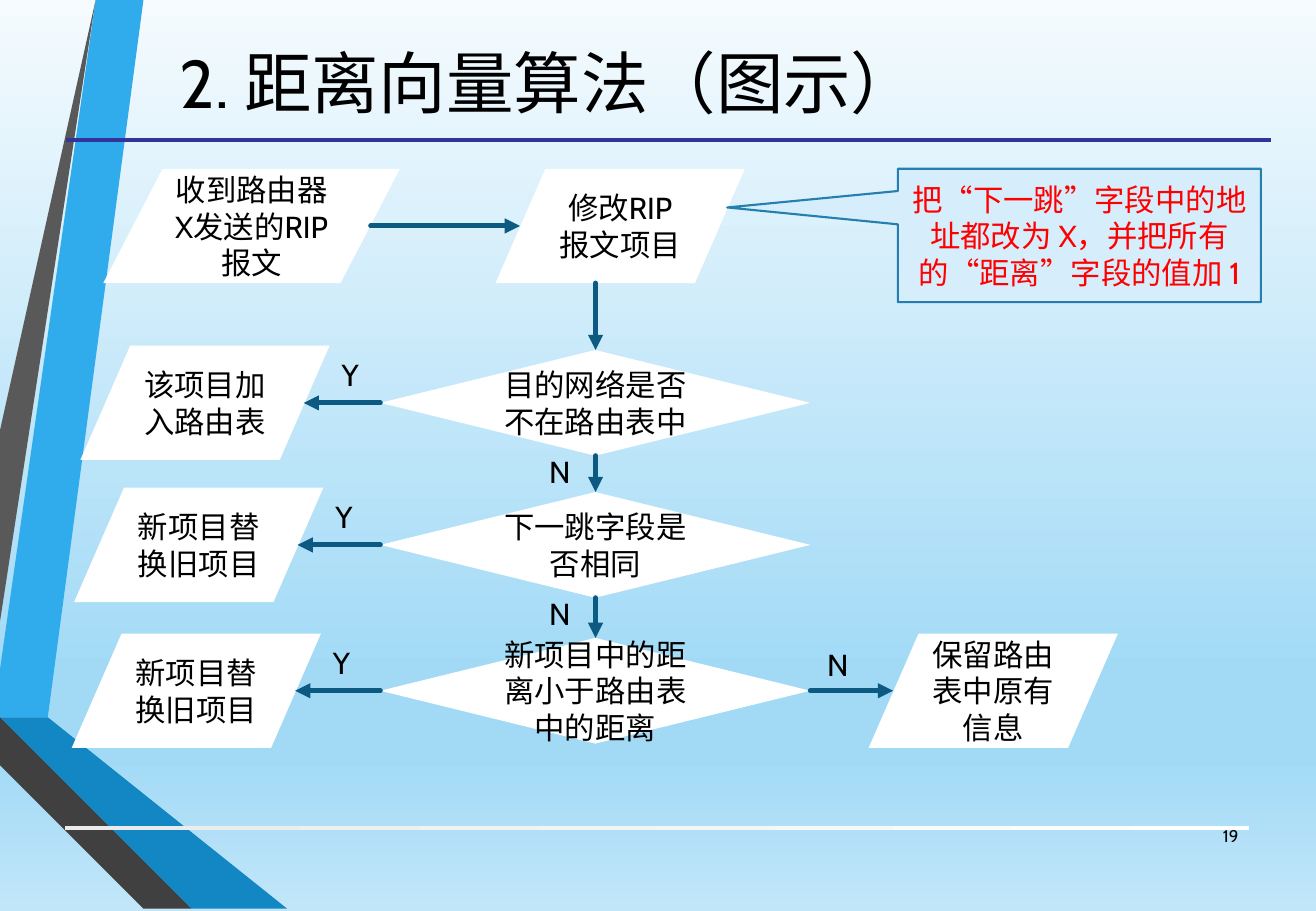
from lxml.etree import SubElement
from pptx import Presentation
from pptx.dml.color import RGBColor
from pptx.enum.lang import MSO_LANGUAGE_ID as Language
from pptx.enum.shapes import MSO_CONNECTOR as Connector, MSO_SHAPE as Shape
from pptx.enum.text import MSO_ANCHOR as Anchor, PP_ALIGN as Align
from pptx.oxml.ns import qn
from pptx.util import Cm, Pt

BLACK = RGBColor(0x00, 0x00, 0x00)
WHITE = RGBColor(0xFF, 0xFF, 0xFF)
RED = RGBColor(0xFF, 0x00, 0x00)
INDIGO = RGBColor(0x33, 0x33, 0x99)
ARROW_BLUE = RGBColor(0x0C, 0x5A, 0x82)
CALLOUT_FILL = RGBColor(0xD6, 0xEE, 0xFB)
CALLOUT_LINE = RGBColor(0x24, 0x7F, 0xAF)
SKY = RGBColor(0x30, 0xAC, 0xEC)
OCEAN = RGBColor(0x12, 0x87, 0xC3)
GRAY = RGBColor(0x59, 0x59, 0x59)
CHARCOAL = RGBColor(0x40, 0x40, 0x40)
SOOT = RGBColor(0x26, 0x26, 0x26)
PALE_GRAY = RGBColor(0xEB, 0xEB, 0xEB)
ICE = RGBColor(0xF5, 0xFB, 0xFE)
LIGHT_BLUE = RGBColor(0xA2, 0xDA, 0xF6)
PALE_BLUE = RGBColor(0xC1, 0xE6, 0xF9)

# Ribbons at the left edge: colour and corner points in centimetres
RIBBONS = [
    (SKY, [(0, 13.82), (0, 14.61), (0.61, 14.71), (3.23, 0), (2.46, 0)]),
    (GRAY, [(2.29, 0), (1.52, 0), (0, 8.53), (0, 12.85)]),
    (SOOT, [(0, 15.72), (0, 15.77), (2.57, 19.05), (2.72, 19.05)]),
    (ARROW_BLUE, [(0, 14.71), (0, 14.73), (4.29, 19.05), (4.47, 19.05)]),
    (OCEAN, [(0, 14.71), (4.47, 19.05), (6.43, 19.05), (0.61, 14.71), (0, 14.61)]),
    (CHARCOAL, [(0, 15.72), (2.72, 19.05), (4.14, 19.05), (0, 14.88)]),
]

# Decision rows: top, question, left of the action, action
DECISIONS = [
    (7.32, "目的网络是否不在路由表中", 1.68, "该项目加入路由表"),
    (10.29, "下一跳字段是否相同", 1.55, "新项目替换旧项目"),
    (13.34, "新项目中的距离小于路由表中的距离", 1.5, "新项目替换旧项目"),
]
DECISION_LEFT, DECISION_WIDTH, DECISION_HEIGHT = 7.95, 8.99, 2.21
BOX_WIDTH, BOX_HEIGHT = 5.21, 2.39
FLOW_TOP, FLOW_X = 3.53, 12.45


def set_gradient(fill, element, stops, angle):
    fill.gradient()
    fill.gradient_angle = angle
    stop_list = element.find(".//" + qn("a:gsLst"))
    for stop in list(stop_list):
        stop_list.remove(stop)
    for percent, color in stops:
        stop = SubElement(stop_list, qn("a:gs"), pos=str(percent * 1000))
        SubElement(stop, qn("a:srgbClr"), val=str(color))


def write_text(shape, text, size=18, color=BLACK, align=Align.CENTER, anchor=Anchor.MIDDLE):
    frame = shape.text_frame
    frame.word_wrap = True
    frame.vertical_anchor = anchor
    paragraph = frame.paragraphs[0]
    paragraph.alignment = align
    run = paragraph.add_run()
    run.text = text
    formats = {"name": "Cabin", "size": Pt(size), "language_id": Language.SIMPLIFIED_CHINESE}
    for name, value in formats.items():
        setattr(run.font, name, value)
    run.font.color.rgb = color


def add_text(slide, text, left, top, width=1.73, height=1.02, **formats):
    box = slide.shapes.add_textbox(Cm(left), Cm(top), Cm(width), Cm(height))
    write_text(box, text, **formats)


def add_label(slide, text, left, top):
    add_text(slide, text, left, top, align=Align.LEFT, anchor=Anchor.TOP)


def add_box(slide, kind, left, top, width, height, text="", fill=WHITE, color=BLACK):
    shape = slide.shapes.add_shape(kind, Cm(left), Cm(top), Cm(width), Cm(height))
    shape.shadow.inherit = False
    shape.fill.solid()
    shape.fill.fore_color.rgb = fill
    shape.line.fill.background()
    if text:
        write_text(shape, text, color=color)
    return shape


def add_data_box(slide, text, left, top, width=BOX_WIDTH):
    add_box(slide, Shape.FLOWCHART_DATA, left, top, width, BOX_HEIGHT, text)


def add_line(slide, x1, y1, x2, y2, color, width):
    line = slide.shapes.add_connector(Connector.STRAIGHT, Cm(x1), Cm(y1), Cm(x2), Cm(y2))
    line.line.color.rgb = color
    line.line.width = Pt(width)
    SubElement(line._element.spPr, qn("a:effectLst"))
    return line


def add_arrow(slide, x1, y1, x2, y2):
    arrow = add_line(slide, x1, y1, x2, y2, ARROW_BLUE, 3)
    outline = arrow.line._get_or_add_ln()
    outline.set("cap", "rnd")
    SubElement(outline, qn("a:tailEnd"), type="triangle")


def add_ribbon(slide, color, points):
    builder = slide.shapes.build_freeform(*points[0], scale=Cm(1))
    builder.add_line_segments(points[1:], close=True)
    ribbon = builder.convert_to_shape()
    ribbon.shadow.inherit = False
    ribbon.fill.solid()
    ribbon.fill.fore_color.rgb = color
    ribbon.line.fill.background()


def add_backdrop(slide):
    stops = [(0, ICE), (74, LIGHT_BLUE), (83, LIGHT_BLUE), (100, PALE_BLUE)]
    set_gradient(slide.background.fill, slide._element, stops, 270)
    for color, points in RIBBONS:
        add_ribbon(slide, color, points)
    footer_bar = add_box(slide, Shape.RECTANGLE, 1.35, 17.27, 24.76, 0.08)
    set_gradient(footer_bar.fill, footer_bar._element, [(0, PALE_GRAY), (100, WHITE)], 0)
    add_line(slide, 1.37, 2.92, 26.57, 2.92, INDIGO, 2.25)


def add_first_steps(slide):
    add_data_box(slide, "收到路由器X发送的RIP报文", 2.16, FLOW_TOP, 6.2)
    add_data_box(slide, "修改RIP报文项目", 10.36, FLOW_TOP)
    middle = FLOW_TOP + BOX_HEIGHT / 2
    add_arrow(slide, 7.75, middle, 10.87, middle)
    callout = add_box(slide, Shape.RECTANGULAR_CALLOUT, 18.77, FLOW_TOP, 7.59, 2.79,
                      "把“下一跳”字段中的地址都改为 X，并把所有的“距离”字段的值加 1",
                      CALLOUT_FILL, RED)
    callout.adjustments[0] = -0.97
    callout.adjustments[1] = -0.21
    callout.line.color.rgb = CALLOUT_LINE
    callout.line.width = Pt(1.25)


def add_decisions(slide):
    previous_bottom = FLOW_TOP + BOX_HEIGHT
    for index, (top, question, action_left, action) in enumerate(DECISIONS):
        middle = top + DECISION_HEIGHT / 2
        add_box(slide, Shape.FLOWCHART_DECISION, DECISION_LEFT, top,
                DECISION_WIDTH, DECISION_HEIGHT, question)
        add_data_box(slide, action, action_left, middle - BOX_HEIGHT / 2)
        add_arrow(slide, FLOW_X, previous_bottom, FLOW_X, top)
        add_arrow(slide, DECISION_LEFT, middle, action_left + 4.67, middle)
        add_label(slide, "Y", action_left + 5.21, top)
        if index:
            add_label(slide, "N", 11.23, previous_bottom - 0.18)
        previous_bottom = top + DECISION_HEIGHT

    # Last "no" branch leads to the right
    add_data_box(slide, "保留路由表中原有信息", 18.16, middle - BOX_HEIGHT / 2)
    add_arrow(slide, DECISION_LEFT + DECISION_WIDTH, middle, 18.67, middle)
    add_label(slide, "N", 17.04, top + 0.05)


def main():
    presentation = Presentation()
    presentation.slide_width = Cm(27.51)
    presentation.slide_height = Cm(19.05)
    slide = presentation.slides.add_slide(presentation.slide_layouts[6])
    add_backdrop(slide)
    add_text(slide, "2. 距离向量算法（图示）", 1.09, 0.13, 20.78, 3.15, size=40)
    add_text(slide, "19", 24.84, 16.97, 1.3, 1.02, size=10, align=Align.RIGHT)
    add_first_steps(slide)
    add_decisions(slide)
    presentation.save("out.pptx")


if __name__ == "__main__":
    main()
